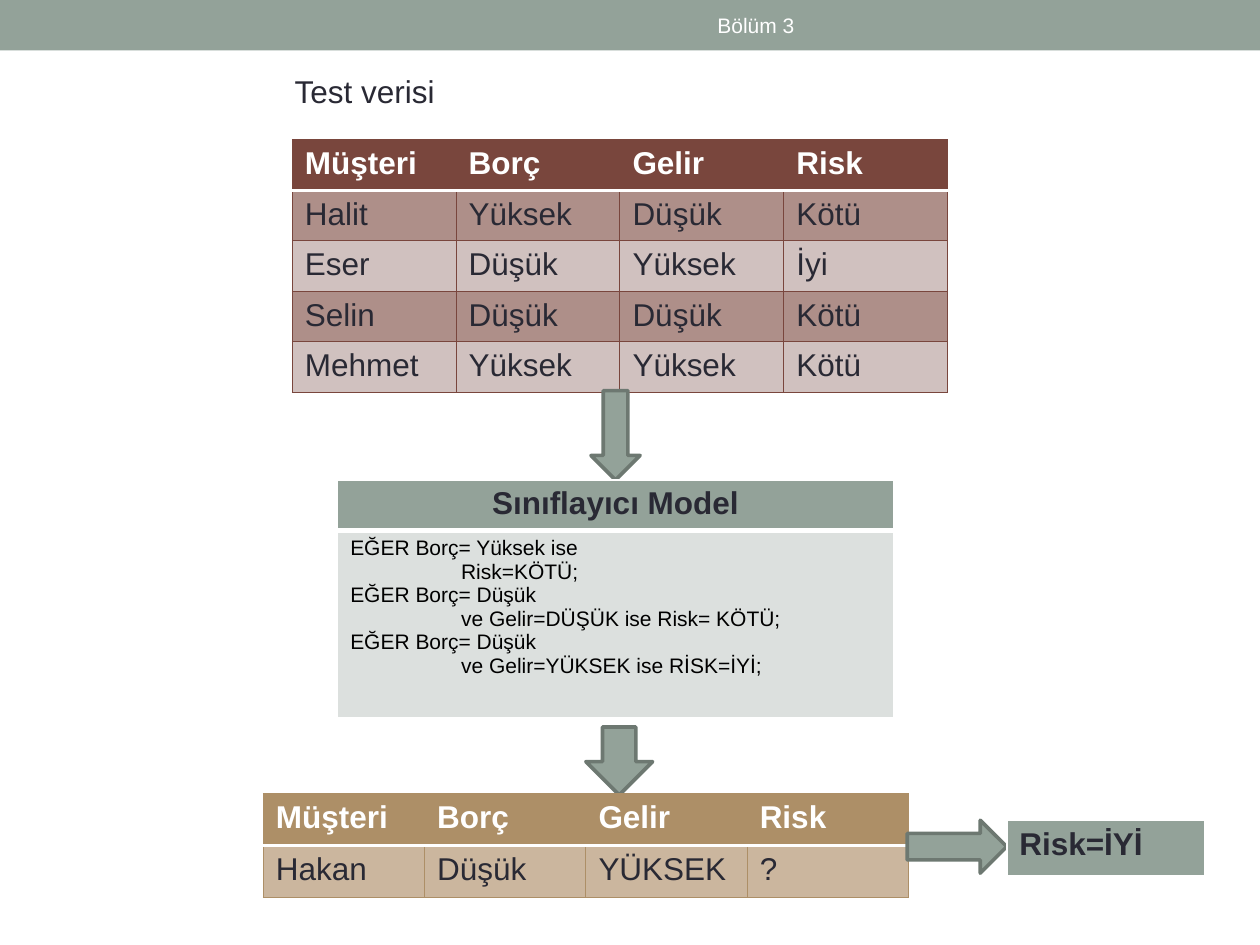
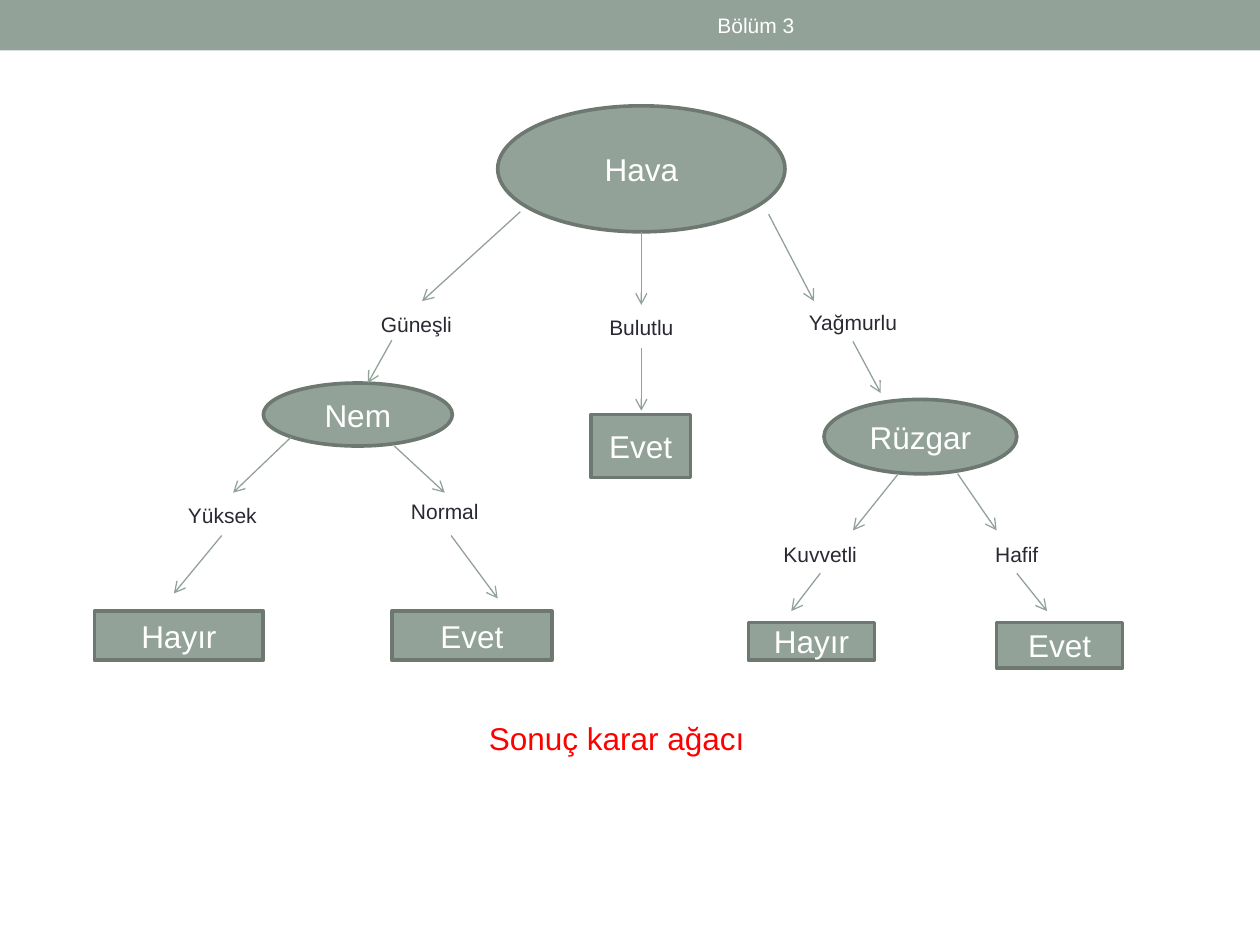
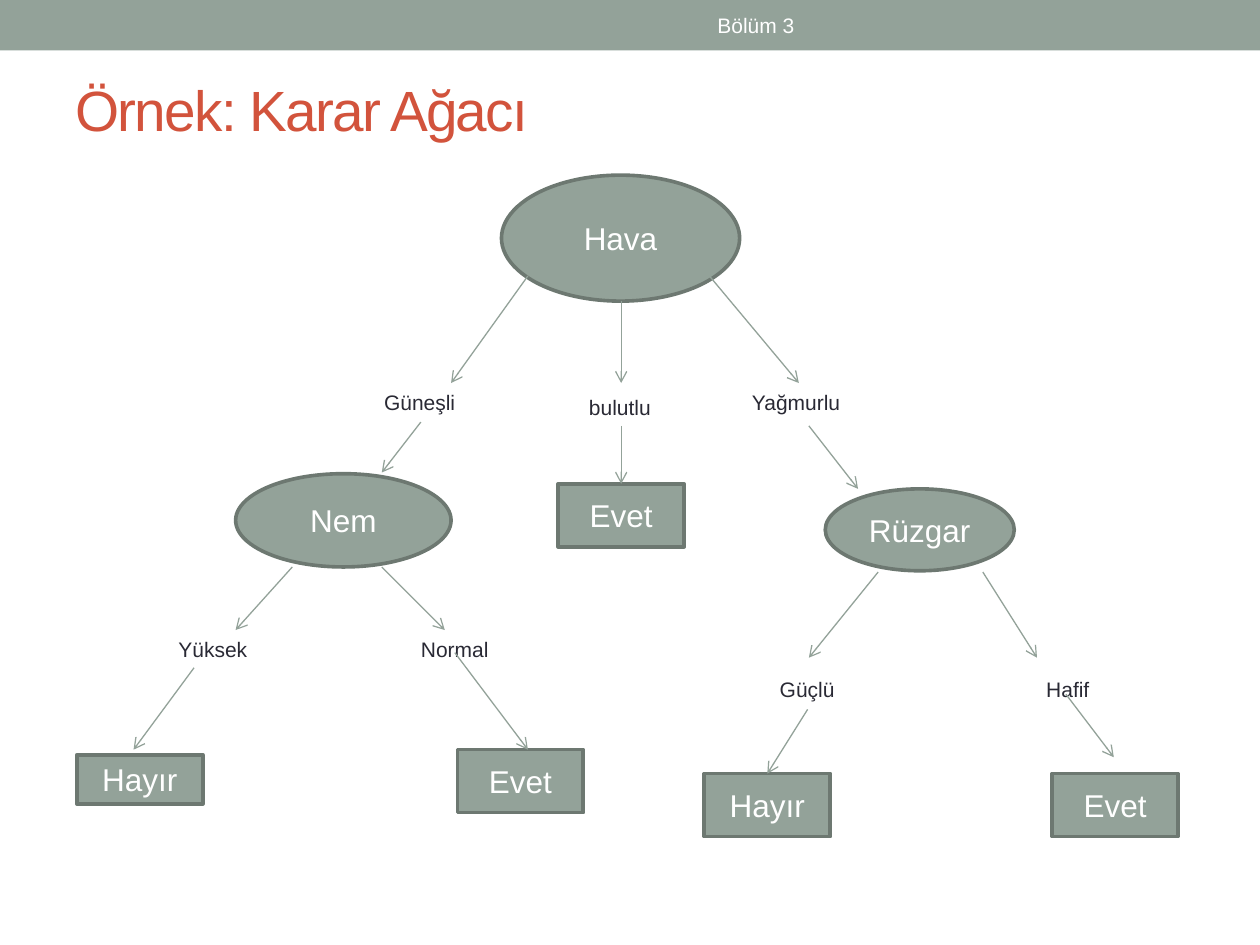
from lxml.etree import SubElement
from pptx import Presentation
from pptx.dml.color import RGBColor
from pptx.enum.shapes import MSO_CONNECTOR as Connector, MSO_SHAPE as Preset
from pptx.enum.text import MSO_ANCHOR as Anchor, MSO_AUTO_SIZE as AutoSize, PP_ALIGN as Align
from pptx.oxml import parse_xml
from pptx.oxml.ns import nsdecls, qn
from pptx.util import Inches, Pt

SAGE, SAGE_DARK, SAGE_PALE = "93A299", "6D7871", "DCE0DE"
BROWN, BROWN_MID, BROWN_PALE = "79463D", "AE8F89", "D0C1BF"
TAN, TAN_MID = "AD8F67", "CBB69E"
INK, WHITE, BLACK, RED, RUST = "292934", "FFFFFF", "000000", "FF0000", "D2533C"
HEADINGS = ["Müşteri", "Borç", "Gelir", "Risk"]


def color(value):
    return RGBColor.from_string(value)


def apply(target, values):
    for name, value in values.items():
        setattr(target, name, value)


def lengths(values):
    return [Inches(value) for value in values]


class Deck:
    font_name = "Arial"

    def __init__(self):
        self.presentation = Presentation()
        apply(self.presentation, {"slide_width": Inches(10), "slide_height": Inches(7.5)})
        self.slide = None

    def new_slide(self):
        layout = self.presentation.slide_layouts[6]
        self.slide = self.presentation.slides.add_slide(layout)
        self.shape(Preset.RECTANGLE, (0, 0, 10, 0.4), line=None)
        self.text("Bölüm 3", (3.75, 0.02, 4.5, 0.36), ink=WHITE, anchor=Anchor.MIDDLE, grow=False)

    def styled_run(self, paragraph, text, size, ink, bold=False, align=Align.LEFT):
        paragraph.alignment = align
        run = paragraph.add_run()
        run.text = text
        apply(run.font, {"name": self.font_name, "size": Pt(size), "bold": bold})
        run.font.color.rgb = color(ink)
        return run

    def text(self, text, at, size=12, ink=INK, align=Align.CENTER, anchor=Anchor.TOP,
             wrap=True, grow=True):
        frame = self.slide.shapes.add_textbox(*lengths(at)).text_frame
        apply(frame, {
            "word_wrap": wrap,
            "vertical_anchor": anchor,
            "auto_size": AutoSize.SHAPE_TO_FIT_TEXT if grow else AutoSize.NONE,
        })
        return self.styled_run(frame.paragraphs[0], text, size, ink, align=align)

    def title(self, text):
        run = self.text(text, (0.5, 0.58, 9, 0.57), 32.4, RUST, Align.LEFT, Anchor.MIDDLE, grow=False)
        run.font._element.set("spc", "-100")

    def shape(self, preset, at, text="", line=SAGE_DARK):
        shape = self.slide.shapes.add_shape(preset, *lengths(at))
        shape.shadow.inherit = False
        shape.fill.solid()
        shape.fill.fore_color.rgb = color(SAGE)
        if line:
            shape.line.color.rgb = color(line)
            shape.line.width = Pt(2.08)
        else:
            shape.line.fill.background()
        if text:
            shape.text_frame.vertical_anchor = Anchor.MIDDLE
            self.styled_run(shape.text_frame.paragraphs[0], text, 18, WHITE, align=Align.CENTER)
        return shape

    def oval(self, text, *at):
        return self.shape(Preset.OVAL, at, text)

    def box(self, text, *at):
        return self.shape(Preset.RECTANGLE, at, text)

    def arrow(self, x1, y1, x2, y2, target=None):
        connector = self.slide.shapes.add_connector(Connector.STRAIGHT, *lengths((x1, y1, x2, y2)))
        if target:
            connector.end_connect(target, 0)
        connector.line.color.rgb = color(SAGE)
        connector.line.width = Pt(0.75)
        SubElement(connector.line._get_or_add_ln(), qn("a:tailEnd"), type="arrow")
        SubElement(connector._element.spPr, qn("a:effectLst"))

    def table(self, at, columns, heights):
        left, top, width = at
        frame = self.slide.shapes.add_table(
            len(heights), columns, *lengths((left, top, width, sum(heights))))
        table = frame.table
        apply(table, {"first_row": False, "horz_banding": False})
        for column in table.columns:
            column.width = Inches(width / columns)
        for row, height in zip(table.rows, heights):
            row.height = Inches(height)
        return table

    def cell(self, cell, lines, fill, borders, size=18, ink=INK, bold=False,
             align=Align.LEFT, indent=0):
        cell.fill.solid()
        cell.fill.fore_color.rgb = color(fill)
        properties = cell._tc.get_or_add_tcPr()
        for index, (side, (line, width)) in enumerate(zip("LRTB", borders)):
            properties.insert(index, parse_xml(
                f'<a:ln{side} {nsdecls("a")} w="{int(Pt(width))}"><a:solidFill>'
                f'<a:srgbClr val="{line}"/></a:solidFill></a:ln{side}>'))
        frame = cell.text_frame
        for index, text in enumerate(lines):
            paragraph = frame.add_paragraph() if index else frame.paragraphs[0]
            if indent and index % 2:
                paragraph._p.get_or_add_pPr().set("marL", str(int(Inches(indent))))
            self.styled_run(paragraph, text, size, ink, bold, align)

    def data_table(self, at, rows, height, edge, bands):
        table = self.table(at, len(HEADINGS), [height] * (len(rows) + 1))
        thin, divider = (edge, 0.75), (WHITE, 2.08)
        for column, heading in enumerate(HEADINGS):
            self.cell(table.cell(0, column), [heading], edge, (thin, thin, thin, divider),
                      ink=WHITE, bold=True)
        for row, values in enumerate(rows, 1):
            borders = (thin, thin, divider if row == 1 else thin, thin)
            for column, value in enumerate(values):
                self.cell(table.cell(row, column), [value], bands[(row - 1) % len(bands)], borders)


def model_slide(deck):
    deck.new_slide()
    deck.text("Test verisi", (2.24, 0.52, 7, 0.4), 18, align=Align.LEFT)
    customers = [
        ["Halit", "Yüksek", "Düşük", "Kötü"],
        ["Eser", "Düşük", "Yüksek", "İyi"],
        ["Selin", "Düşük", "Düşük", "Kötü"],
        ["Mehmet", "Yüksek", "Yüksek", "Kötü"],
    ]
    deck.data_table((2.32, 1.11, 5.2), customers, 0.38, BROWN, [BROWN_MID, BROWN_PALE])
    deck.shape(Preset.DOWN_ARROW, (4.69, 3.1, 0.39, 0.71))

    thin, divider = (WHITE, 1), (WHITE, 3)
    heading_borders = (thin, thin, thin, divider)
    model = deck.table((2.68, 3.81, 4.41), 1, [0.38, 1.49])
    deck.cell(model.cell(0, 0), ["Sınıflayıcı Model"], SAGE, heading_borders,
              bold=True, align=Align.CENTER)
    rules = [
        "EĞER Borç= Yüksek ise",
        "Risk=KÖTÜ;",
        "EĞER Borç= Düşük",
        "ve Gelir=DÜŞÜK ise Risk= KÖTÜ;",
        "EĞER Borç= Düşük",
        "ve Gelir=YÜKSEK ise RİSK=İYİ;",
    ]
    deck.cell(model.cell(1, 0), rules, SAGE_PALE, (thin, thin, divider, thin),
              size=12, ink=BLACK, indent=0.88)
    deck.shape(Preset.DOWN_ARROW, (4.65, 5.77, 0.53, 0.54))

    deck.data_table((2.09, 6.3, 5.12), [["Hakan", "Düşük", "YÜKSEK", "?"]], 0.41, TAN, [TAN_MID])
    deck.shape(Preset.RIGHT_ARROW, (7.2, 6.51, 0.79, 0.42))
    result = deck.table((7.99, 6.51, 1.57), 1, [0.45])
    deck.cell(result.cell(0, 0), ["Risk=İYİ"], SAGE, heading_borders, bold=True)


def result_tree_slide(deck):
    deck.new_slide()
    deck.oval("Hava", 3.95, 0.84, 2.28, 1)
    deck.oval("Nem", 2.09, 3.04, 1.5, 0.5)
    deck.oval("Rüzgar", 6.54, 3.17, 1.53, 0.59)
    deck.box("Hayır", 0.75, 4.85, 1.34, 0.39)
    deck.box("Evet", 3.11, 4.85, 1.27, 0.39)
    deck.box("Evet", 4.69, 3.29, 0.79, 0.5)
    deck.box("Hayır", 5.94, 4.94, 1, 0.3)
    deck.box("Evet", 7.91, 4.94, 1, 0.36)
    deck.text("Güneşli", (2.92, 2.42, 0.77, 0.3), wrap=False)
    for label, left, top, width in [
        ("Bulutlu", 4.38, 2.45, 1.42),
        ("Yağmurlu", 6.1, 2.41, 1.34),
        ("Yüksek", 1.23, 3.94, 1.07),
        ("Normal", 2.92, 3.91, 1.22),
        ("Kuvvetli", 5.94, 4.25, 1.14),
        ("Hafif", 7.6, 4.25, 0.94),
    ]:
        deck.text(label, (left, top, width, 0.3))
    for ends in [
        (4.13, 1.68, 3.35, 2.39), (5.09, 1.84, 5.09, 2.42), (6.1, 1.7, 6.46, 2.39),
        (3.11, 2.7, 2.92, 3.04), (5.09, 2.76, 5.09, 3.26), (6.77, 2.71, 6.99, 3.12),
        (2.31, 3.47, 1.85, 3.91), (3.13, 3.54, 3.53, 3.91),
        (7.13, 3.76, 6.77, 4.21), (7.6, 3.76, 7.91, 4.21),
        (1.76, 4.25, 1.38, 4.71), (3.58, 4.25, 3.95, 4.75),
        (6.51, 4.55, 6.28, 4.85), (8.07, 4.55, 8.31, 4.85),
    ]:
        deck.arrow(*ends)
    deck.text("Sonuç karar ağacı", (3.49, 5.66, 2.81, 0.4), 18, RED)


def example_tree_slide(deck):
    deck.new_slide()
    deck.title("Örnek: Karar Ağacı")
    deck.oval("Hava", 3.98, 1.39, 1.89, 1)
    deck.oval("Nem", 1.87, 3.76, 1.71, 0.74)
    deck.oval("Rüzgar", 6.55, 3.88, 1.5, 0.65)
    deck.box("Hayır", 0.61, 5.99, 1, 0.39)
    deck.box("Evet", 3.63, 5.95, 1, 0.5)
    cloudy_yes = deck.box("Evet", 4.43, 3.84, 1, 0.5)
    strong_no = deck.box("Hayır", 5.59, 6.14, 1, 0.5)
    deck.box("Evet", 8.35, 6.14, 1, 0.5)
    for label, left, top, width, align, wrap in [
        ("Güneşli", 2.95, 3.04, 0.77, Align.LEFT, False),
        ("bulutlu", 4.41, 3.08, 1.02, Align.CENTER, True),
        ("Yağmurlu", 5.87, 3.04, 1.5, Align.LEFT, True),
        ("Yüksek", 1.06, 5, 1.26, Align.CENTER, True),
        ("Normal", 3.03, 5, 1.16, Align.CENTER, True),
        ("Güçlü", 6.09, 5.32, 0.64, Align.LEFT, False),
        ("Hafif", 8.09, 5.32, 0.77, Align.CENTER, True),
    ]:
        deck.text(label, (left, top, width, 0.3), align=align, wrap=wrap)
    for ends in [
        (4.19, 2.19, 3.58, 3.04), (4.93, 2.39, 4.93, 3.04), (5.63, 2.19, 6.34, 3.04),
        (3.34, 3.35, 3.03, 3.75), (4.93, 3.38, 4.93, 3.84, cloudy_yes), (6.42, 3.38, 6.81, 3.88),
        (2.32, 4.5, 1.87, 5), (3.03, 4.5, 3.53, 5),
        (6.97, 4.54, 6.42, 5.22), (7.8, 4.54, 8.23, 5.22),
        (1.54, 5.3, 1.06, 5.95), (3.61, 5.18, 4.19, 5.95),
        (6.41, 5.63, 6.09, 6.14, strong_no), (8.46, 5.51, 8.84, 6.01),
    ]:
        deck.arrow(*ends)


def main():
    deck = Deck()
    model_slide(deck)
    result_tree_slide(deck)
    example_tree_slide(deck)
    deck.presentation.save("out.pptx")


if __name__ == "__main__":
    main()
